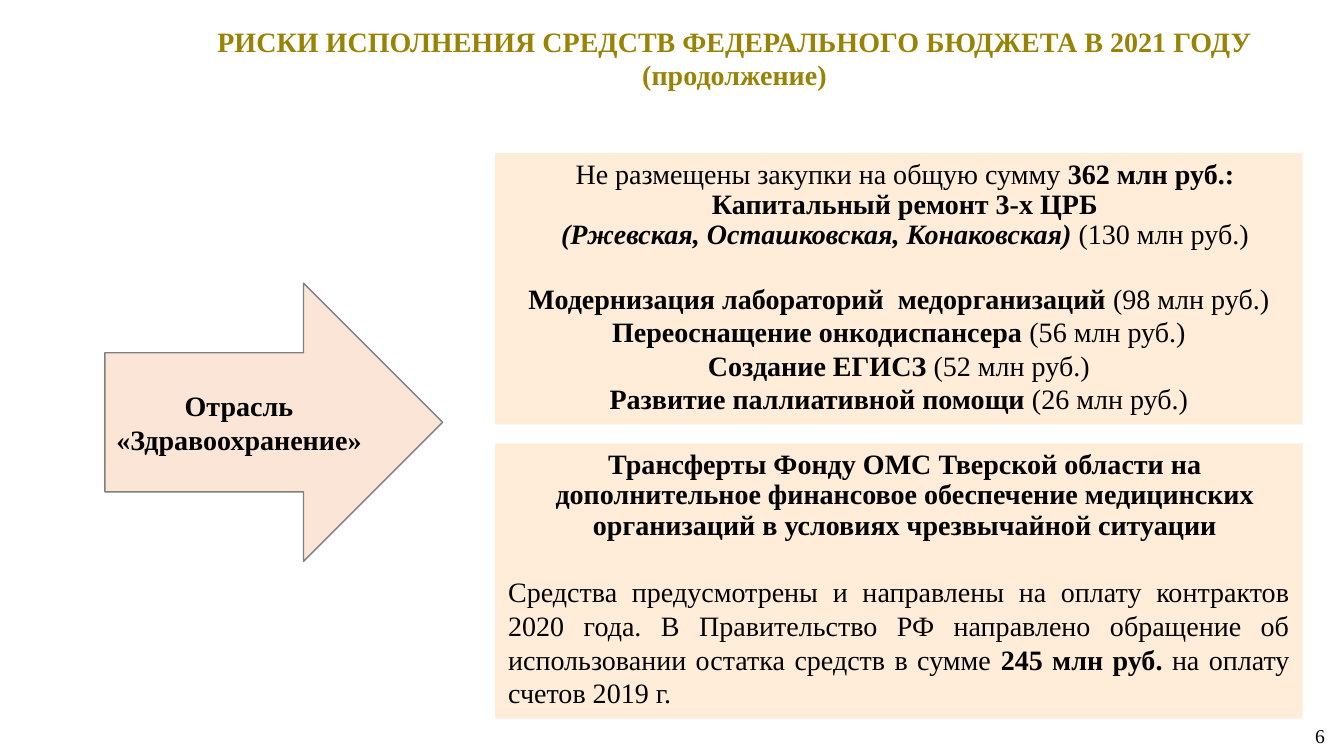
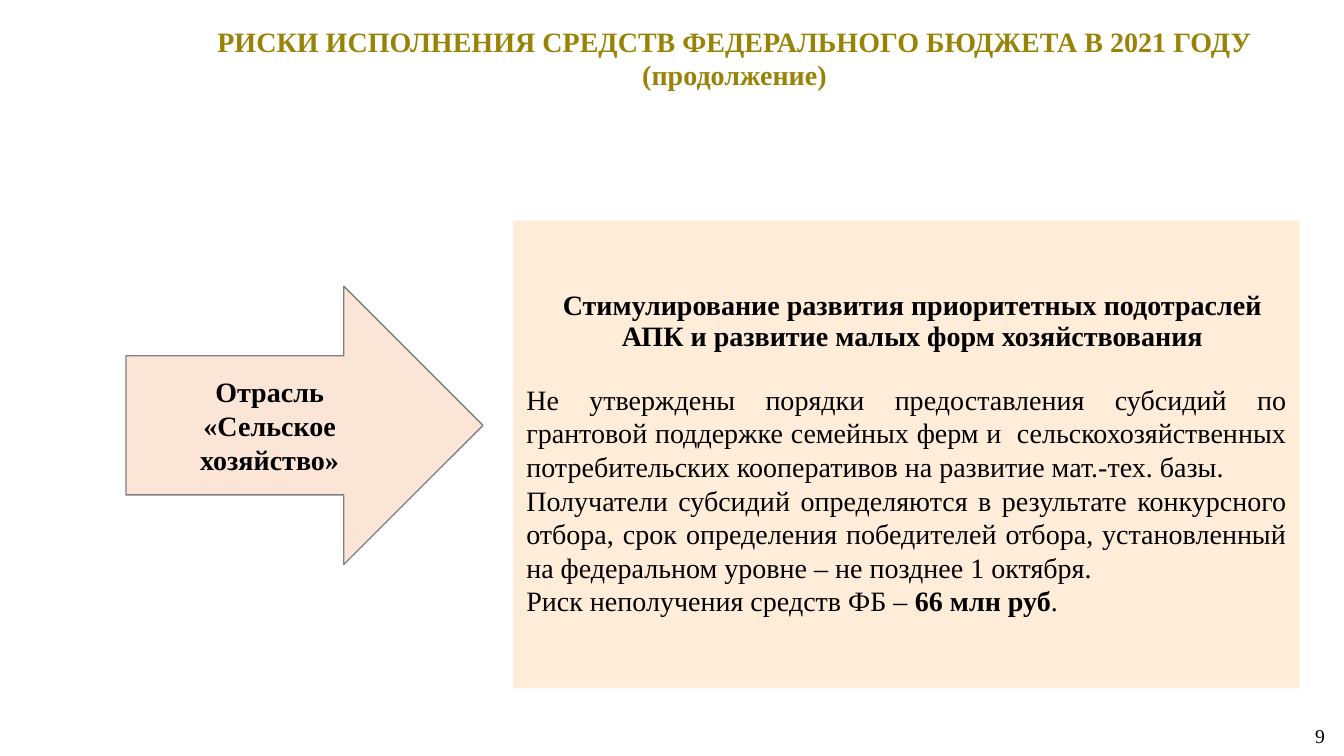
from dataclasses import dataclass

from pptx import Presentation
from pptx.dml.color import RGBColor
from pptx.enum.shapes import MSO_SHAPE as Shape
from pptx.enum.text import MSO_ANCHOR as Anchor, MSO_AUTO_SIZE as AutoSize, PP_ALIGN as Align
from pptx.util import Inches, Pt


@dataclass(frozen=True)
class Theme:
    font: str = "Times New Roman"
    body: Pt = Pt(20)
    small: Pt = Pt(14)
    ink: RGBColor = RGBColor.from_string("000000")
    gold: RGBColor = RGBColor.from_string("998307")
    panel: RGBColor = RGBColor.from_string("FFECD9")
    arrow: RGBColor = RGBColor.from_string("FBE5D6")
    outline: RGBColor = RGBColor.from_string("808080")


theme = Theme()
TITLE = "РИСКИ ИСПОЛНЕНИЯ СРЕДСТВ ФЕДЕРАЛЬНОГО БЮДЖЕТА В 2021 ГОДУ\n(продолжение)"
HEAD, ITEM, NOTE = "head", "item", "note"

SECTORS = [
    {
        "number": "6",
        "sector": "Отрасль «Здравоохранение»",
        "arrow": (1.04, 2.81, 3.35, 2.76),
        "panels": [
            ((4.91, 1.52, 8.01, 2.69), Anchor.TOP, [
                (HEAD, 0, [("Не размещены закупки на общую сумму ", ""), ("362 млн руб.:", "b")]),
                (HEAD, 0, [("Капитальный ремонт 3-х ЦРБ", "b")]),
                (HEAD, 0, [("(Ржевская, Осташковская, Конаковская) ", "bi"), ("(130 млн руб.)", "")]),
                (ITEM, 21.5, [("Модернизация лабораторий  медорганизаций ", "b"), ("(98 млн руб.)", "")]),
                (ITEM, 0, [("Переоснащение онкодиспансера ", "b"), ("(56 млн руб.)", "")]),
                (ITEM, 0, [("Создание ЕГИСЗ ", "b"), ("(52 млн руб.)", "")]),
                (ITEM, 0, [("Развитие паллиативной помощи ", "b"), ("(26 млн руб.)", "")]),
            ]),
            ((4.91, 4.4, 8.01, 2.73), Anchor.TOP, [
                (HEAD, 0, [("Трансферты Фонду ОМС Тверской области на дополнительное финансовое "
                            "обеспечение медицинских организаций в условиях чрезвычайной ситуации", "b")]),
                (NOTE, 24, [("Средства предусмотрены и направлены на оплату контрактов 2020 года. "
                             "В Правительство РФ направлено обращение об использовании остатка "
                             "средств в сумме ", ""),
                            ("245 млн руб. ", "b"), ("на оплату счетов 2019 г.", "")]),
            ]),
        ],
    },
    {
        "number": "9",
        "sector": "Отрасль\n«Сельское хозяйство»",
        "arrow": (1.25, 2.84, 3.54, 2.76),
        "panels": [
            ((5.09, 2.19, 7.8, 4.64), Anchor.MIDDLE, [
                (HEAD, 0, [("Стимулирование развития приоритетных подотраслей АПК "
                            "и развитие малых форм хозяйствования", "b")]),
                (NOTE, 21.5, [("Не утверждены порядки предоставления субсидий по грантовой поддержке "
                               "семейных ферм и  сельскохозяйственных потребительских кооперативов "
                               "на развитие мат.-тех. базы.", "")]),
                (NOTE, 0, [("Получатели субсидий определяются в результате конкурсного отбора, "
                            "срок определения победителей отбора, установленный на федеральном "
                            "уровне – не позднее 1 октября.", "")]),
                (NOTE, 0, [("Риск неполучения средств ФБ – ", ""), ("66 млн руб", "b"), (".", "")]),
            ]),
        ],
    },
]


def style_text(frame, align, size=theme.body, color=theme.ink, bold=True):
    frame.word_wrap = True
    frame.auto_size = AutoSize.NONE
    for paragraph in frame.paragraphs:
        paragraph.alignment = align
        for run in paragraph.runs:
            run.font.name, run.font.size, run.font.bold = theme.font, size, bold
            run.font.color.rgb = color


def add_block(slide, kind, box, fill):
    block = slide.shapes.add_shape(kind, *map(Inches, box))
    block.shadow.inherit = False
    block.fill.solid()
    block.fill.fore_color.rgb = fill
    block.line.fill.background()
    return block


deck = Presentation()
deck.slide_width, deck.slide_height = Inches(13.33), Inches(7.5)

for sector in SECTORS:
    slide = deck.slides.add_slide(deck.slide_layouts[5])

    title = slide.shapes.title
    title.left, title.top, title.width, title.height = map(Inches, (1.43, 0.19, 11.71, 0.77))
    title.text_frame.text = TITLE
    title.text_frame.vertical_anchor = Anchor.TOP
    style_text(title.text_frame, Align.CENTER, color=theme.gold)

    arrow = add_block(slide, Shape.RIGHT_ARROW, sector["arrow"], theme.arrow)
    arrow.line.color.rgb = theme.outline
    arrow.line.width = Pt(1)
    arrow.text_frame.text = sector["sector"]
    arrow.text_frame.vertical_anchor = Anchor.MIDDLE
    style_text(arrow.text_frame, Align.CENTER)

    for box, anchor, paragraphs in sector["panels"]:
        frame = add_block(slide, Shape.RECTANGLE, box, theme.panel).text_frame
        frame.vertical_anchor = anchor
        frame.margin_left = frame.margin_right = Inches(0.13)
        frame.margin_top = frame.margin_bottom = Inches(0.07)
        for index, (role, gap, pieces) in enumerate(paragraphs):
            paragraph = frame.add_paragraph() if index else frame.paragraphs[0]
            for words, _ in pieces:
                paragraph.add_run().text = words
            if gap:
                paragraph.space_before = Pt(gap)
            if role == HEAD:
                paragraph.line_spacing = 0.9
                paragraph._p.get_or_add_pPr().set("marL", str(Inches(0.12)))
        style_text(frame, Align.CENTER)
        for paragraph, (role, _, pieces) in zip(frame.paragraphs, paragraphs):
            if role == NOTE:
                paragraph.alignment = Align.JUSTIFY
            for run, (_, emphasis) in zip(paragraph.runs, pieces):
                run.font.bold = "b" in emphasis
                run.font.italic = "i" in emphasis

    page_number = slide.shapes.add_textbox(*map(Inches, (10.13, 7.1, 3.11, 0.4))).text_frame
    page_number.text = sector["number"]
    page_number.vertical_anchor = Anchor.MIDDLE
    style_text(page_number, Align.RIGHT, size=theme.small, bold=False)

deck.save("out.pptx")
